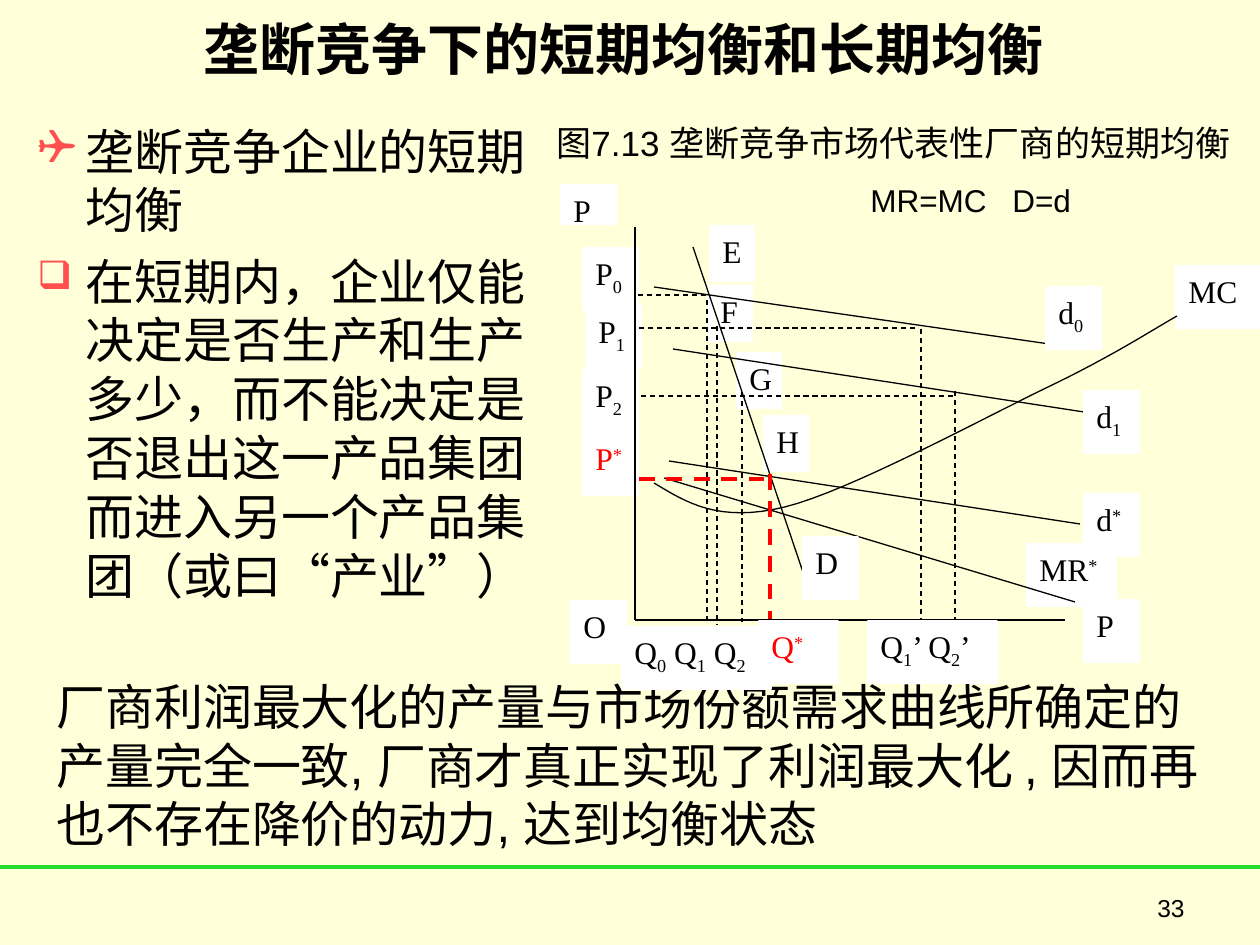
from lxml import etree
from pptx import Presentation
from pptx import util as u
from pptx.dml.color import RGBColor
from pptx.enum import dml, shapes, text
from pptx.oxml.ns import qn

PX = 914400 / 126
BLACK, RED, WHITE = "000000", "FF0000", "FFFFFF"

# Content
TITLE = "垄断竞争下的短期均衡和长期均衡 "
BULLETS = [  # character, size in percent, text
    ("✈", 100, "垄断竞争企业的短期均衡"),
    ("❑", 80, "在短期内，企业仅能决定是否生产和生产多少，而不能决定是否退出这一产品集团"
              "而进入另一个产品集团（或曰“产业”）"),
]
CAPTION = "图7.13 垄断竞争市场代表性厂商的短期均衡"
CONDITION = "MR=MC\tD=d"
CONCLUSION = ("厂商利润最大化的产量与市场份额需求曲线所确定的产量完全一致, "
              "厂商才真正实现了利润最大化 , 因而再也不存在降价的动力, 达到均衡状态")
PAGE = "33"

# Diagram labels: text, left, top, width, height, colour
# Every second piece between bars is an index
POINT, AXIS = (44, 55), (55, 62)
BACK_LABELS = [
    ("H", 764, 416, *POINT, BLACK),
    ("G", 737, 353, *POINT, BLACK),
    ("F", 708, 286, *POINT, BLACK),
    ("P|2", 583, 370, *AXIS, BLACK),
    ("P|1", 586, 306, *AXIS, BLACK),
    ("MR|*", 1027, 544, 89, 62, BLACK),
    ("P|0", 583, 248, *AXIS, BLACK),
    ("P|*", 583, 433, *AXIS, RED),
    ("MC", 1176, 266, 84, 62, BLACK),
    ("O", 571, 601, *AXIS, BLACK),
]
FRONT_LABELS = [
    ("P", 561, 185, 55, 39, BLACK),
    ("D", 803, 537, *AXIS, BLACK),
    ("d|0", 1046, 287, *AXIS, BLACK),
    ("P", 1084, 600, *AXIS, BLACK),
    ("d|1", 1084, 391, *AXIS, BLACK),
    ("d|*", 1084, 494, *AXIS, BLACK),
    ("E", 710, 226, *POINT, BLACK),
    ("Q|0| Q|1| Q|2", 622, 627, 149, 62, BLACK),
    ("Q|*", 759, 621, 79, 62, RED),
    ("Q|1|’ Q|2|’", 868, 621, 129, 62, BLACK),
]

# Diagram lines: x1, y1, x2, y2
SOLID = [
    (635, 227, 635, 620), (635, 620, 1065, 620),    # axes
    (693, 247, 805, 578),                           # D
    (654, 287, 1084, 349), (673, 349, 1084, 412),   # d0, d1
    (669, 461, 1080, 524), (664, 478, 1075, 602),   # d*, MR*
]
GUIDES = [
    (706, 295, 636, 295), (915, 328, 636, 328), (953, 396, 639, 396),
    (707, 300, 707, 622), (717, 326, 717, 624), (742, 392, 742, 622),
    (921, 329, 921, 620), (955, 391, 955, 630),
]
OPTIMUM = [(639, 479, 766, 479), (770, 474, 770, 619)]
MC_START = (654, 483)
MC_BEZIERS = [
    ((687, 503), (719, 523), (785, 507)),
    ((849, 491), (980, 420), (1046, 388)),
    ((1111, 357), (1154, 329), (1177, 316)),
]


def px(*values):
    return [round(value * PX) for value in values]


def rgb(colour):
    return RGBColor.from_string(colour)


def style(paragraph, size, font="Arial", colour=BLACK, align=text.PP_ALIGN.LEFT):
    paragraph.alignment = align
    paragraph.font.size = u.Pt(size)
    paragraph.font.name = font
    paragraph.font.color.rgb = rgb(colour)


def add_text(slide, box, words, size, anchor=text.MSO_ANCHOR.TOP, wrap=True,
             align=text.PP_ALIGN.LEFT):
    frame = slide.shapes.add_textbox(*px(*box)).text_frame
    frame.word_wrap = wrap
    frame.vertical_anchor = anchor
    frame.text = words
    style(frame.paragraphs[0], size, align=align)
    return frame.paragraphs[0]


def add_bullets(slide, box):
    frame = slide.shapes.add_textbox(*px(*box)).text_frame
    frame.word_wrap = True
    indent = px(48)[0]
    for index, (character, percent, words) in enumerate(BULLETS):
        paragraph = frame.add_paragraph() if index else frame.paragraphs[0]
        paragraph.text = words
        if index:
            paragraph.space_before = u.Pt(7)
        properties = paragraph._p.get_or_add_pPr()
        properties.set("marL", str(indent))
        properties.set("indent", str(-indent))
        colour = etree.SubElement(properties, qn("a:buClr"))
        etree.SubElement(colour, qn("a:srgbClr"), val="FF5050")
        etree.SubElement(properties, qn("a:buSzPct"), val=str(percent * 1000))
        etree.SubElement(properties, qn("a:buChar"), char=character)
        style(paragraph, 28)


def add_label(slide, words, left, top, width, height, colour):
    shape = slide.shapes.add_shape(shapes.MSO_SHAPE.RECTANGLE, *px(left, top, width, height))
    shape.shadow.inherit = False
    shape.fill.solid()
    shape.fill.fore_color.rgb = rgb(WHITE)
    shape.line.color.rgb = rgb(WHITE)
    shape.line.width = u.Pt(0.75)
    shape.text_frame.vertical_anchor = text.MSO_ANCHOR.TOP
    paragraph = shape.text_frame.paragraphs[0]
    style(paragraph, 18, "Times New Roman", colour)
    for index, piece in enumerate(words.split("|")):
        run = paragraph.add_run()
        run.text = piece
        if index % 2:
            baseline = "30000" if piece == "*" else "-25000"
            run._r.get_or_add_rPr().set("baseline", baseline)


def add_line(slide, ends, colour=BLACK, width=0.75, dashed=False):
    line = slide.shapes.add_connector(shapes.MSO_CONNECTOR.STRAIGHT, *px(*ends))
    line.line.color.rgb = rgb(colour)
    line.line.width = u.Pt(width)
    if dashed:
        line.line.dash_style = dml.MSO_LINE.DASH
    etree.SubElement(line._element.spPr, qn("a:effectLst"))


def add_cost_curve(slide, steps=16):
    points, start = [], MC_START
    for first, second, end in MC_BEZIERS:
        for step in range(1, steps + 1):
            t = step / steps
            points.append(px(*(
                (1 - t) ** 3 * a + 3 * t * (1 - t) ** 2 * b + 3 * t ** 2 * (1 - t) * c + t ** 3 * d
                for a, b, c, d in zip(start, first, second, end))))
        start = end
    builder = slide.shapes.build_freeform(*px(*MC_START))
    builder.add_line_segments(points, close=False)
    curve = builder.convert_to_shape()
    curve.shadow.inherit = False
    curve.fill.background()
    curve.line.color.rgb = rgb(BLACK)
    curve.line.width = u.Pt(0.75)


def main():
    presentation = Presentation()
    presentation.slide_width, presentation.slide_height = px(1260, 945)
    slide = presentation.slides.add_slide(presentation.slide_layouts[5])
    slide.background.fill.solid()
    slide.background.fill.fore_color.rgb = rgb("FFFFD9")

    # Footer rule, title and running text
    add_line(slide, (0, 867, 1260, 867), "24DC2D", 2.25)
    title = slide.shapes.title
    title.left, title.top, title.width, title.height = px(0, 0, 1260, 96)
    title.text_frame.text = TITLE
    title.text_frame.vertical_anchor = text.MSO_ANCHOR.MIDDLE
    style(title.text_frame.paragraphs[0], 32, align=text.PP_ALIGN.CENTER)
    title.text_frame.paragraphs[0].font.bold = True
    add_bullets(slide, (25, 115, 536, 566))
    add_text(slide, (44, 670, 1171, 189), CONCLUSION, 28, text.MSO_ANCHOR.MIDDLE)

    # Diagram
    for label in BACK_LABELS:
        add_label(slide, *label)
    for ends in SOLID:
        add_line(slide, ends)
    for ends in GUIDES:
        add_line(slide, ends, dashed=True)
    add_cost_curve(slide)
    for ends in OPTIMUM:
        add_line(slide, ends, RED, 2.25, dashed=True)
    for label in FRONT_LABELS:
        add_label(slide, *label)

    # Caption, equilibrium condition and page number
    add_text(slide, (544, 115, 723, 55), CAPTION, 20, text.MSO_ANCHOR.MIDDLE, wrap=False)
    condition = add_text(slide, (858, 175, 358, 50), CONDITION, 18)
    tabs = etree.Element(qn("a:tabLst"))
    etree.SubElement(tabs, qn("a:tab"), pos=str(px(142)[0]), algn="l")
    condition._p.get_or_add_pPr().insert(0, tabs)
    add_text(slide, (1027, 887, 170, 66), PAGE, 14, align=text.PP_ALIGN.RIGHT)

    presentation.save("out.pptx")


if __name__ == "__main__":
    main()
